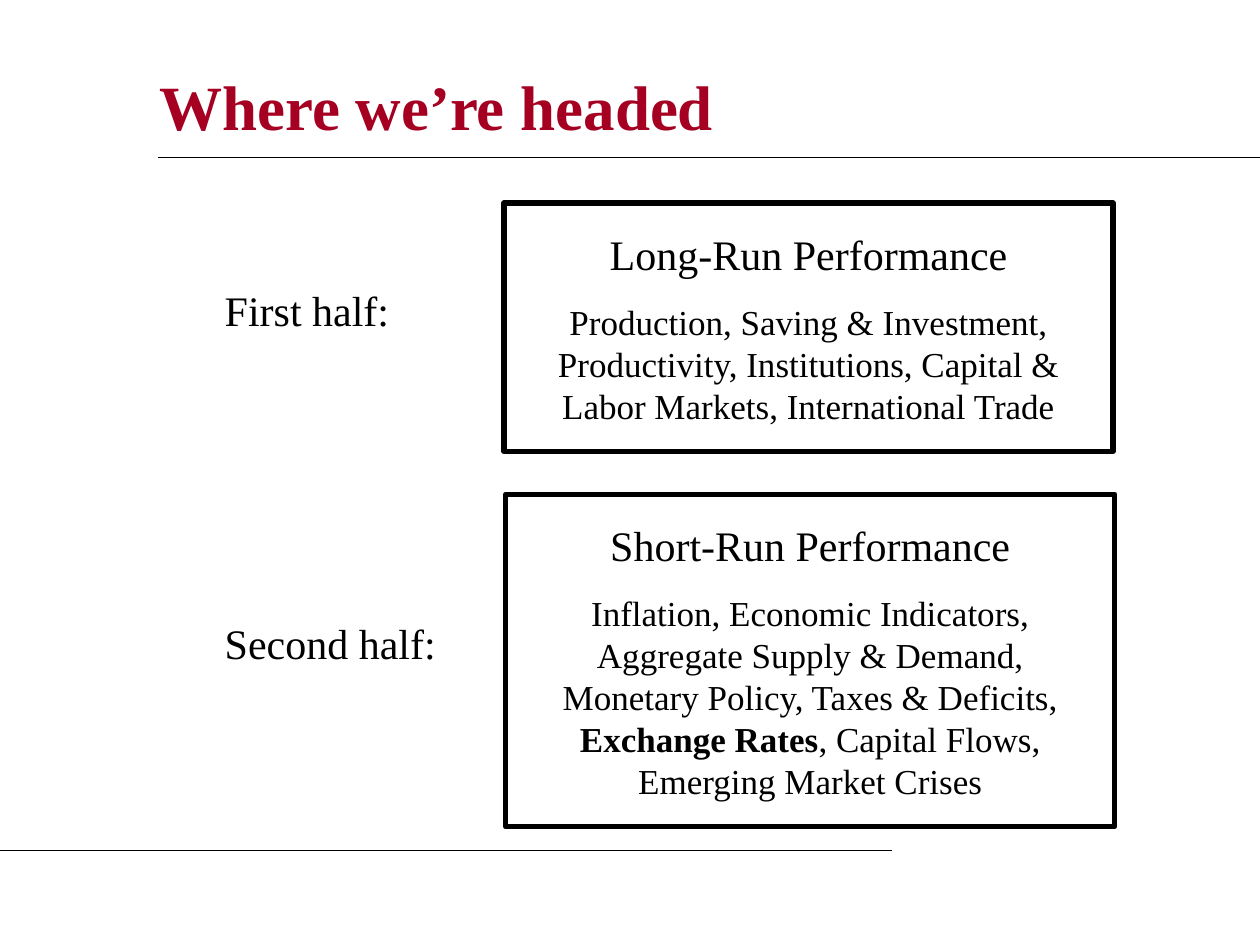
from pptx import Presentation
from pptx.dml.color import RGBColor
from pptx.enum.shapes import MSO_CONNECTOR, MSO_SHAPE
from pptx.enum.text import MSO_ANCHOR, PP_ALIGN
from pptx.oxml.ns import qn
from pptx.util import Pt
from lxml import etree

STRAIGHT = MSO_CONNECTOR.STRAIGHT
RECTANGLE = MSO_SHAPE.RECTANGLE
TOP, MIDDLE = MSO_ANCHOR.TOP, MSO_ANCHOR.MIDDLE
LEFT, CENTER = PP_ALIGN.LEFT, PP_ALIGN.CENTER

THEME = {
    "font": "Times New Roman",
    "title": {"size": Pt(36), "bold": True, "color": RGBColor(0xA5, 0x00, 0x21)},
    "heading": {"size": Pt(24), "bold": False, "color": RGBColor(0, 0, 0)},
    "topics": {"size": Pt(20), "bold": False, "color": RGBColor(0, 0, 0)},
    "line": RGBColor(0, 0, 0),
    "rule_width": 0.75,
    "border_width": 3,
    "inset": 14.4,
    "topics_gap": 12.5,
}

SLIDE_SIZE = (720, 540)
TITLE = ("Where we’re headed", (84, 30, 582, 60))
RULES = [(90, 720, 90), (0, 510, 486)]
LABEL_LEFT, LABEL_WIDTH, PANEL_WIDTH = 114, 168, 348
HALVES = [
    {
        "label": "First half:",
        "label_top": 168,
        "label_height": 43,
        "line_spacing": 0.5,
        "heading": "Long-Run Performance",
        "topics": [
            ("Production, Saving & Investment, Productivity, Institutions, "
             "Capital & Labor Markets, International Trade", False),
        ],
        "panel": (288, 116, PANEL_WIDTH, 142),
    },
    {
        "label": "Second half:",
        "label_top": 338.4,
        "label_height": 57.6,
        "line_spacing": 1.0,
        "heading": "Short-Run Performance",
        "topics": [
            ("Inflation, Economic Indicators, Aggregate Supply & Demand, "
             "Monetary Policy, Taxes & Deficits, ", False),
            ("Exchange Rates", True),
            (", Capital Flows, Emerging Market Crises", False),
        ],
        "panel": (289, 282.4, PANEL_WIDTH, 190),
    },
]


def points(values):
    return [Pt(value) for value in values]


def prepare_frame(shape, inset=None, anchor=TOP):
    frame = shape.text_frame
    settings = {"word_wrap": True, "vertical_anchor": anchor}
    if inset is not None:
        for side in ("left", "top", "right", "bottom"):
            settings[f"margin_{side}"] = Pt(inset)
    for name, value in settings.items():
        setattr(frame, name, value)
    return frame


def write_paragraph(paragraph, runs, style, **settings):
    for name, value in settings.items():
        setattr(paragraph, name, value)
    for text, bold in runs:
        run = paragraph.add_run()
        run.text = text
        font_values = {
            "name": THEME["font"],
            "size": style["size"],
            "bold": bold or style["bold"],
        }
        for name, value in font_values.items():
            setattr(run.font, name, value)
        run.font.color.rgb = style["color"]


def add_rule(slide, start, end, height):
    rule = slide.shapes.add_connector(STRAIGHT, *points((start, height, end, height)))
    rule.line.color.rgb = THEME["line"]
    rule.line.width = Pt(THEME["rule_width"])
    etree.SubElement(rule._element.spPr, qn("a:effectLst"))


def add_text(slide, text, bounds, style, inset=None, anchor=TOP, line_spacing=1.0):
    box = slide.shapes.add_textbox(*points(bounds))
    frame = prepare_frame(box, inset, anchor)
    write_paragraph(frame.paragraphs[0], [(text, False)], style,
                    alignment=LEFT, line_spacing=line_spacing)


def add_panel(slide, half):
    panel = slide.shapes.add_shape(RECTANGLE, *points(half["panel"]))
    panel.shadow.inherit = False
    panel.fill.background()
    panel.line.color.rgb = THEME["line"]
    panel.line.width = Pt(THEME["border_width"])
    frame = prepare_frame(panel, THEME["inset"])
    write_paragraph(frame.paragraphs[0], [(half["heading"], False)],
                    THEME["heading"], alignment=CENTER)
    write_paragraph(frame.add_paragraph(), half["topics"], THEME["topics"],
                    alignment=CENTER, space_before=Pt(THEME["topics_gap"]))


def main():
    """Build the course outline slide and save it."""
    presentation = Presentation()
    presentation.slide_width, presentation.slide_height = points(SLIDE_SIZE)
    slide = presentation.slides.add_slide(presentation.slide_layouts[6])
    title, title_bounds = TITLE
    add_text(slide, title, title_bounds, THEME["title"], anchor=MIDDLE)
    for rule in RULES:
        add_rule(slide, *rule)
    for half in HALVES:
        add_panel(slide, half)
        bounds = (LABEL_LEFT, half["label_top"], LABEL_WIDTH, half["label_height"])
        add_text(slide, half["label"], bounds, THEME["heading"],
                 inset=THEME["inset"], line_spacing=half["line_spacing"])
    presentation.save("out.pptx")


if __name__ == "__main__":
    main()
